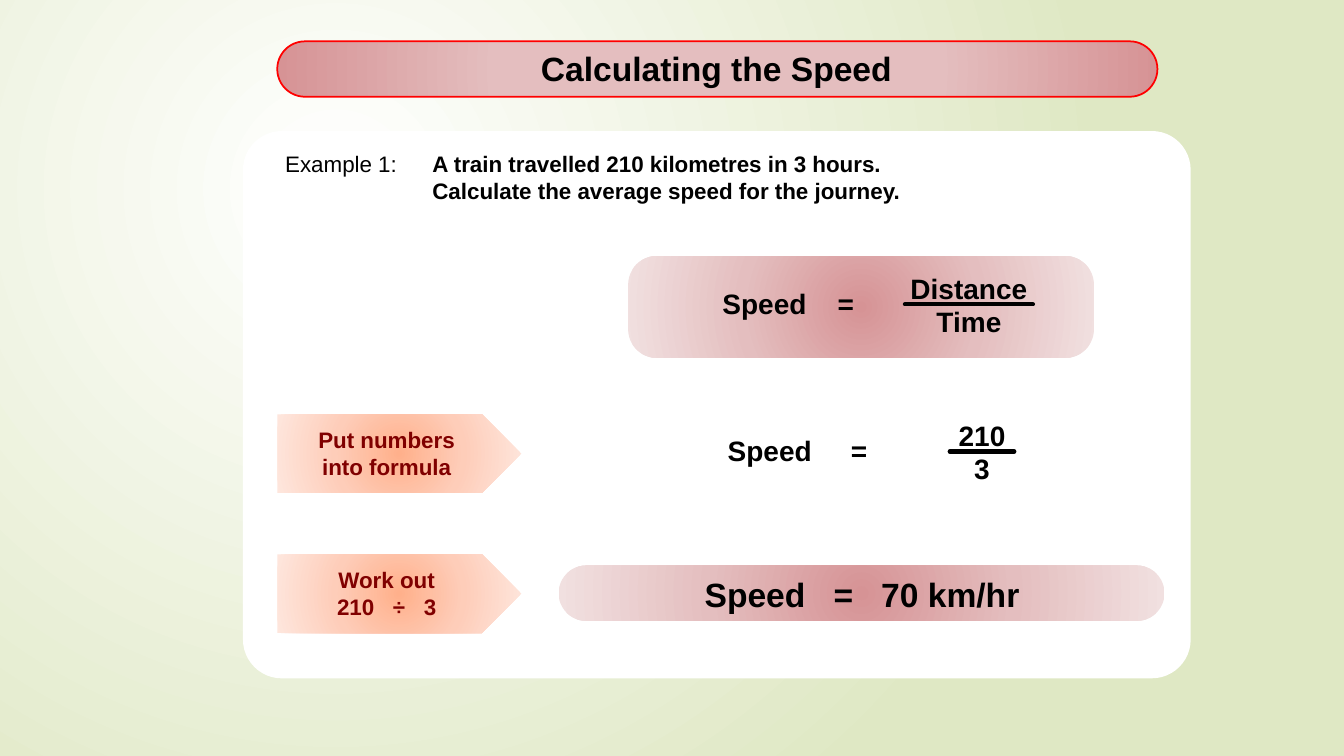
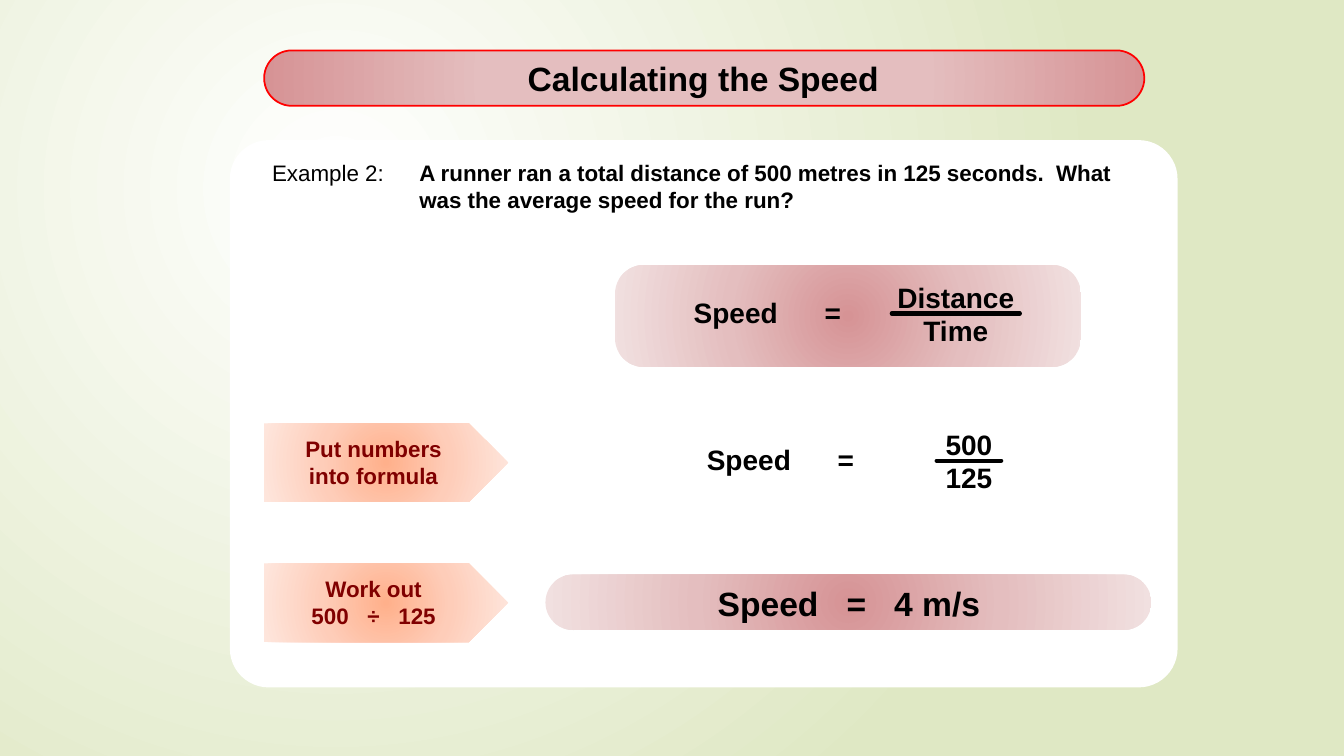
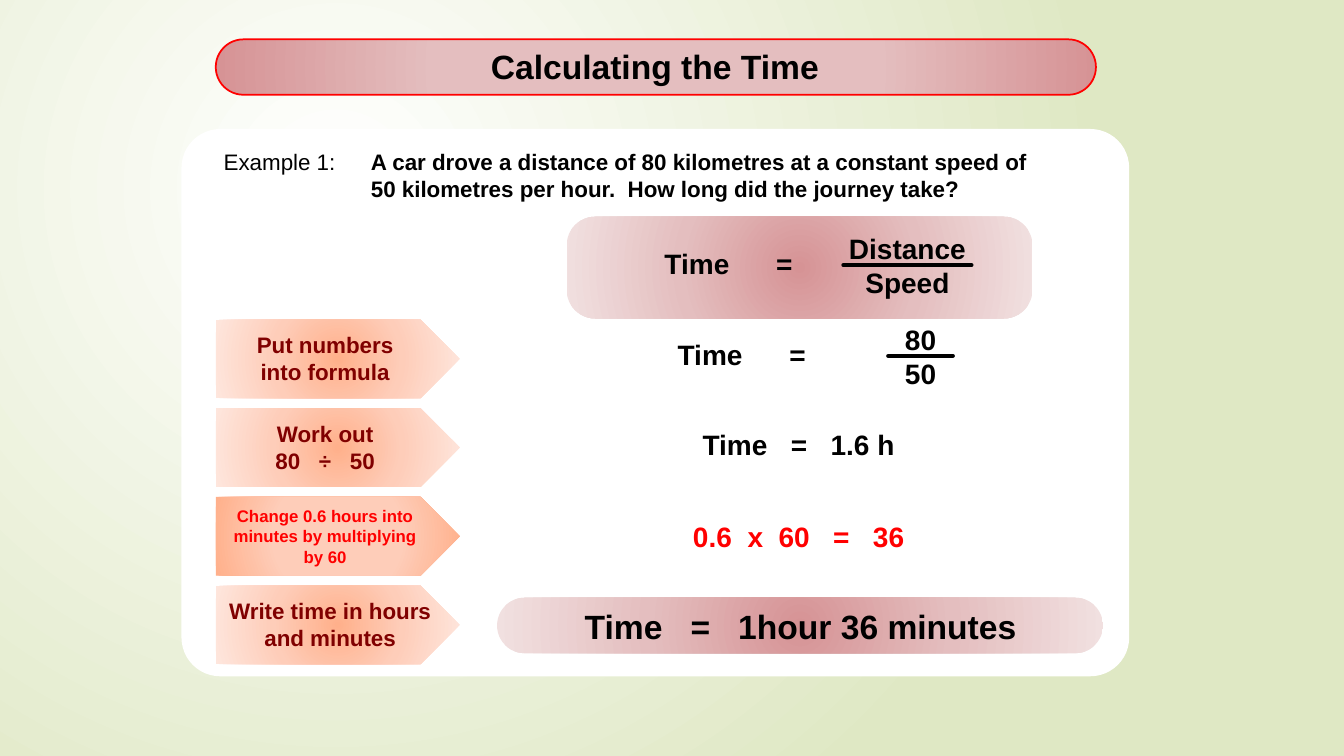
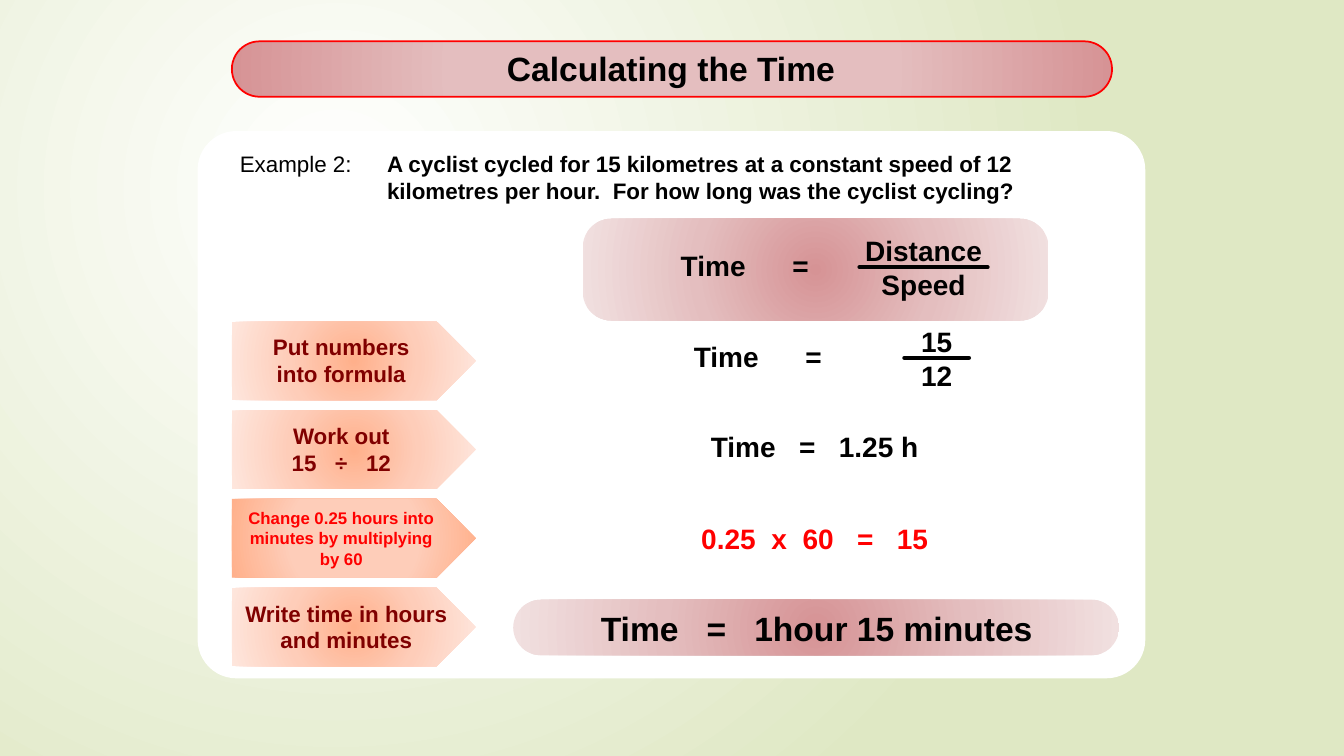
from itertools import pairwise

from lxml.etree import SubElement
from pptx import Presentation
from pptx.dml.color import RGBColor
from pptx.enum.shapes import MSO_CONNECTOR, MSO_SHAPE
from pptx.enum.text import MSO_ANCHOR, MSO_AUTO_SIZE, PP_ALIGN
from pptx.oxml.ns import qn
from pptx.util import Inches, Pt

# Shared style: gradient stops are (position in percent, colour)
BLACK, WHITE, RED, MAROON = "000000", "FFFFFF", "FF0000", "800000"
ROSE = [(0, "D69395"), (50, "E4BEBF"), (100, "F1E0E0")]
ROSE_EDGE = [(50, "E4BEBF"), (100, "D69395"), (100, "F1E0E0")]
PEACH = [(0, "FFB08B"), (50, "FECDB9"), (100, "FEE6DD")]
PEACH_EDGE = [(50, "FECDB9"), (100, "FFB08B"), (100, "FEE6DD")]
BACKDROP = [(0, WHITE), (100, "DFE8C4")]

SPACE_WIDTH = 0.278  # width of an Arial space, in ems
GAPS = {"=": 3, "÷": 3, "x": 2}  # spaces' width on each side of an operator
STEP_PITCH = 0.88


def rgb(value):
    return RGBColor.from_string(value)


def radial(owner, stops, focus=(50, 50, 50, 50)):
    """Replace the owner's gradient with a circular one around the focus."""
    grad = owner.element.find(".//" + qn("a:gradFill"))
    for child in list(grad):
        grad.remove(child)
    stop_list = SubElement(grad, qn("a:gsLst"))
    for pos, color in stops:
        gs = SubElement(stop_list, qn("a:gs"), {"pos": str(pos * 1000)})
        SubElement(gs, qn("a:srgbClr"), {"val": color})
    circle = SubElement(grad, qn("a:path"), {"path": "circle"})
    sides = {side: str(v * 1000) for side, v in zip("ltrb", focus)}
    SubElement(circle, qn("a:fillToRect"), sides)


class Deck:
    """Holds the style, the current slide and the corner of its panel."""

    def __init__(self):
        self.prs = Presentation()
        self.prs.slide_width, self.prs.slide_height = Inches(13.33), Inches(7.5)
        master = self.prs.slide_master
        master.background.fill.gradient()
        radial(master, BACKDROP, (50, 50, 100, 100))

    def box(self, x, y, w, h):
        """Lengths of a box placed relative to the panel's corner."""
        left, top = self.corner
        return Inches(left + x), Inches(top + y), Inches(w), Inches(h)

    def slide(self, title, corner):
        self.s = self.prs.slides.add_slide(self.prs.slide_layouts[5])
        self.corner = corner
        self.shape(MSO_SHAPE.ROUNDED_RECTANGLE, (0, 0, 9.4, 5.43), WHITE, 0.071)
        bar = self.shape(MSO_SHAPE.ROUNDED_RECTANGLE,
                         (0.34, -0.89, 8.73, 0.55), ROSE_EDGE, 0.5)
        bar.line.color.rgb = rgb(RED)
        bar.line.width = Pt(1.25)
        sp = self.s.shapes.title
        bar.element.addnext(sp.element)  # title in front of its bar
        sp.left, sp.top, sp.width, sp.height = self.box(0.56, -0.87, 8.27, 0.5)
        self.set_text(sp, [title], 24)

    def shape(self, kind, at, fill, adj=None):
        sp = self.s.shapes.add_shape(kind, *self.box(*at))
        sp.shadow.inherit = False
        sp.line.fill.background()
        if adj is not None:
            sp.adjustments[0] = adj
        if isinstance(fill, str):
            sp.fill.solid()
            sp.fill.fore_color.rgb = rgb(fill)
        else:
            sp.fill.gradient()
            radial(sp, fill)
        return sp

    def add_run(self, p, text, font, color, gap=1):
        r = p.add_run()
        r.text = text
        for name, value in font.items():
            setattr(r.font, name, value)
        r.font.color.rgb = rgb(color)
        if gap > 1:
            extra = (gap - 1) * SPACE_WIDTH * font["size"].pt
            r._r.get_or_add_rPr().set("spc", str(round(extra * 100)))

    def set_text(self, sp, lines, size, color=BLACK, align=PP_ALIGN.CENTER,
                 bold=True, gaps=GAPS):
        font = {"name": "Arial", "size": Pt(size), "bold": bold}
        tf = sp.text_frame
        frame = {"word_wrap": True, "vertical_anchor": MSO_ANCHOR.TOP,
                 "auto_size": MSO_AUTO_SIZE.NONE}
        for name, value in frame.items():
            setattr(tf, name, value)
        for i, line in enumerate(lines):
            p = tf.add_paragraph() if i else tf.paragraphs[0]
            p.alignment = align
            # Spaces beside an operator are single, with wider tracking
            words = line.split(" ")
            part = words[0]
            for a, b in pairwise(words):
                gap = gaps.get(a) or gaps.get(b)
                if gap:
                    self.add_run(p, part, font, color)
                    self.add_run(p, " ", font, color, gap)
                    part = b
                else:
                    part += " " + b
            self.add_run(p, part, font, color)

    def text(self, at, lines, size, **style):
        sp = self.s.shapes.add_textbox(*self.box(*at))
        self.set_text(sp, lines, size, **style)

    def question(self, number, lines):
        left = {"align": PP_ALIGN.LEFT}
        self.text((0.32, 0.14, 1.68, 0.37), [f"Example {number}:"], 16,
                  bold=False, **left)
        self.text((1.78, 0.14, 7.31, 0.64), lines, 16, **left)

    def fraction(self, x, y, bar, name, parts, gap):
        """A name, an equals sign and a fraction with a centred bar."""
        w = 1.78
        self.text((x, y, w, 0.77), parts, 20)
        left, top, width, _ = self.box(x + (w - bar) / 2, y + 0.38, bar, 0)
        cn = self.s.shapes.add_connector(MSO_CONNECTOR.STRAIGHT, left, top,
                                         left + width, top)
        cn.line.color.rgb = rgb(BLACK)
        cn.line.width = Pt(3)
        cn.element.spPr.find(qn("a:ln")).set("cap", "rnd")
        SubElement(cn.element.spPr, qn("a:effectLst"))
        self.text((x - 2.18, y + 0.15, 2.03, 0.44), [f"{name} ="], 20,
                  align=PP_ALIGN.RIGHT, gaps={"=": gap})

    def formula(self, y, name, parts, gap=6):
        self.shape(MSO_SHAPE.ROUNDED_RECTANGLE, (3.82, y, 4.62, 1.01), ROSE, 0.281)
        self.fraction(6.31, y + 0.1, 1.27, name, parts, gap)

    def numbers(self, y, name, parts, gap=6):
        self.fraction(6.44, y, 0.64, name, parts, gap)

    def step(self, y, lines, width=2.13):
        self.shape(MSO_SHAPE.PENTAGON, (0.34, y, 2.42, 0.78), PEACH)
        self.text((0.36, y + 0.07, width, 0.64), lines, 16, color=MAROON)

    def hint(self, y, lines):
        self.shape(MSO_SHAPE.PENTAGON, (0.34, y, 2.42, 0.78), PEACH_EDGE)
        self.text((0.36, y + 0.04, 2.13, 0.71), lines, 12, color=RED)

    def working(self, y, line, color=BLACK):
        self.text((3.27, y, 5.7, 0.44), [line], 20, color=color)

    def answer(self, y, line):
        self.shape(MSO_SHAPE.ROUNDED_RECTANGLE, (3.13, y, 6.01, 0.55), ROSE, 0.5)
        self.text((3.29, y + 0.03, 5.7, 0.5), [line], 24)


def speed_slide(deck, corner, number, question, values, result, gaps=(6, 6)):
    deck.slide("Calculating the Speed", corner)
    deck.answer(4.31, f"Speed = {result}")
    deck.question(number, question)
    deck.formula(1.24, "Speed", ["Distance", "Time"], gaps[0])
    deck.numbers(2.8, "Speed", values, gaps[1])
    deck.step(2.81, ["Put numbers", "into formula"])
    deck.step(4.2, ["Work out", " ÷ ".join(values)])


def time_slide(deck, corner, number, question, values, hours, part, minutes):
    deck.slide("Calculating the Time", corner)
    deck.question(number, question)
    deck.formula(0.87, "Time", ["Distance", "Speed"])
    deck.numbers(1.87, "Time", values)
    rows = [1.89 + i * STEP_PITCH for i in range(4)]
    deck.step(rows[0], ["Put numbers", "into formula"])
    deck.step(rows[1], ["Work out", " ÷ ".join(values)])
    deck.working(2.91, f"Time = {hours} h")
    deck.hint(rows[2], [f"Change {part} hours into minutes by multiplying", "by 60"])
    deck.working(3.82, f"{part} x 60 = {minutes}", RED)
    deck.step(rows[3], ["Write time in hours and minutes"], 2.23)
    deck.answer(4.65, f"Time = 1hour {minutes} minutes")


def main():
    deck = Deck()
    speed_slide(deck, (2.41, 1.3), 1,
                ["A train travelled 210 kilometres in 3 hours.",
                 "Calculate the average speed for the journey."],
                ["210", "3"], "70 km/hr", gaps=(4, 5))
    speed_slide(deck, (2.28, 1.39), 2,
                ["A runner ran a total distance of 500 metres in 125 seconds.  "
                 "What was the average speed for the run?"],
                ["500", "125"], "4 m/s")
    time_slide(deck, (1.8, 1.28), 1,
               ["A car drove a distance of 80 kilometres at a constant speed of",
                "50 kilometres per hour.  How long did the journey take?"],
               ["80", "50"], "1.6", "0.6", "36")
    time_slide(deck, (1.96, 1.3), 2,
               ["A cyclist cycled for 15 kilometres at a constant speed of 12 "
                "kilometres per hour.  For how long was the cyclist cycling?"],
               ["15", "12"], "1.25", "0.25", "15")
    deck.prs.save("out.pptx")


if __name__ == "__main__":
    main()
